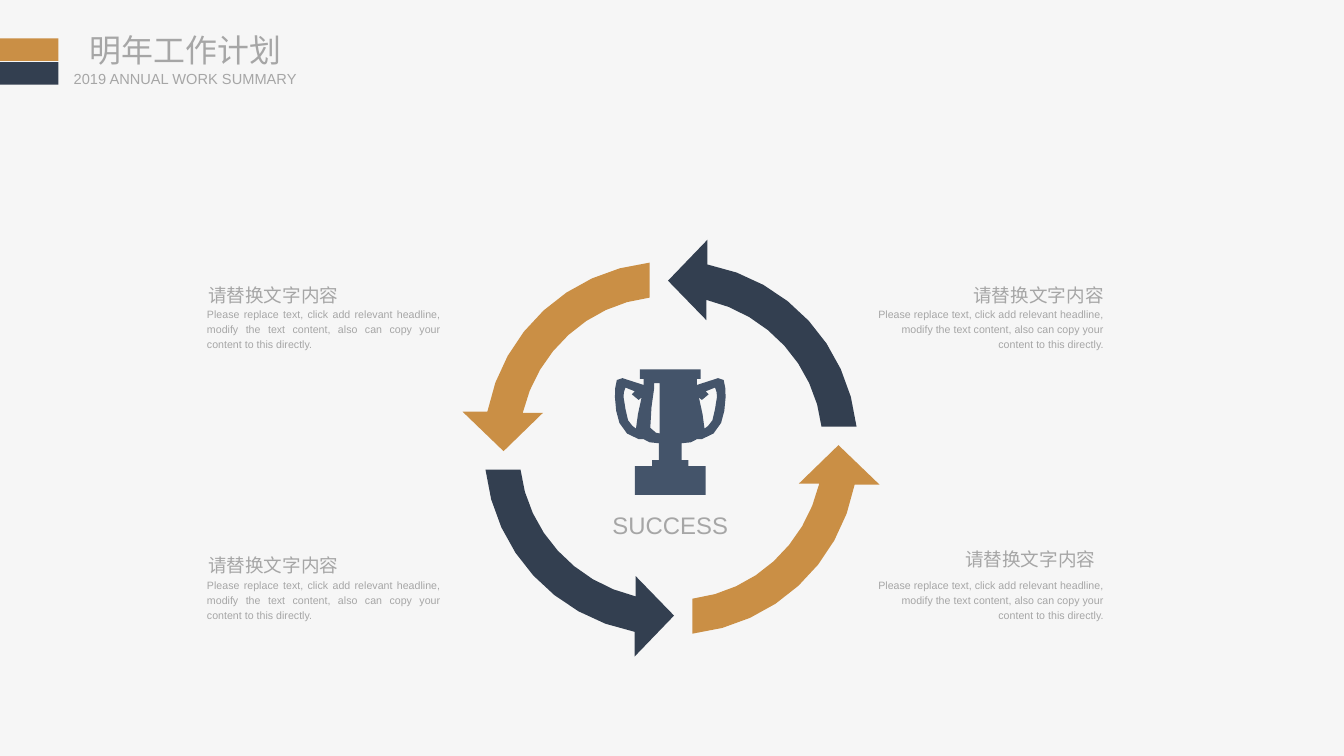
from pptx import Presentation
from pptx.dml.color import RGBColor
from pptx.enum.shapes import MSO_SHAPE as Shape
from pptx.enum.text import MSO_ANCHOR as Anchor, MSO_AUTO_SIZE as AutoSize, PP_ALIGN as Align
from pptx.util import Cm, Pt

COLORS = {"background": "F6F6F6", "navy": "333F50", "gold": "CA8F45", "trophy": "44546A", "text": "A6A6A6"}
HEADING = "请替换文字内容"
BODY = (
    "Please replace text, click add relevant headline, modify the text content, "
    "also can copy your content to this directly."
)

ARROW = [
    (0.97, -4.88), (3.10, -4.47, 4.69, -2.74, 4.93, -0.57), (4.00, -0.57),
    (3.81, -2.20, 2.57, -3.56, 0.94, -3.94), (0.94, -3.40), (-0.08, -4.45), (0.97, -5.54),
]
CUP_HALF = [
    (0.81, 0), (0.81, 0.25), (0.71, 0.25), (0.71, 0.41), (1.27, 0.23), (1.42, 0.28),
    (1.47, 0.41, 1.47, 0.58, 1.47, 0.74), (1.47, 0.97, 1.42, 1.24, 1.35, 1.42),
    (1.24, 1.65, 1.09, 1.80, 0.84, 1.85), (0.71, 1.85),
    (0.64, 1.93, 0.48, 1.96, 0.30, 1.96), (0.30, 2.41), (0.48, 2.41),
    (0.48, 2.57), (0.94, 2.57), (0.94, 3.33),
]
CUP_HANDLE = [
    (0.91, 1.57), (0.94, 1.35, 0.79, 1.04, 0.76, 0.74), (0.84, 0.81), (1.02, 0.66),
    (0.94, 0.58), (1.19, 0.48), (1.24, 0.56, 1.24, 0.66, 1.24, 0.74),
    (1.19, 0.97, 1.19, 1.17, 1.12, 1.35), (1.04, 1.47, 0.97, 1.55, 0.91, 1.57),
]
CUP_SHINE = [
    (-0.28, 0.36), (-0.28, 1.70), (-0.28, 1.70, -0.46, 1.70, -0.53, 1.55),
    (-0.58, 1.40, -0.43, 0.58, -0.43, 0.51), (-0.43, 0.36),
]


def trace(steps, samples):
    """Turn points and Bezier steps into a list of points."""
    points = [steps[0]]
    for step in steps[1:]:
        if len(step) == 2:
            points.append(step)
            continue
        corners = [points[-1], step[:2], step[2:4], step[4:]]
        for index in range(1, samples + 1):
            t = index / samples
            weights = ((1 - t) ** 3, 3 * t * (1 - t) ** 2, 3 * t * t * (1 - t), t ** 3)
            points.append(tuple(sum(w * c[axis] for w, c in zip(weights, corners)) for axis in (0, 1)))
    return points


def mirror(points):
    """Reflect points across the vertical axis, in reverse order."""
    return [(-x, y) for x, y in reversed(points)]


def paint(shape, color):
    """Give a shape a flat fill with no line or shadow."""
    shape.shadow.inherit = False
    shape.fill.solid()
    shape.fill.fore_color.rgb = RGBColor.from_string(COLORS[color])
    shape.line.fill.background()


def add_outline(slide, left, top, contours, color):
    """Draw closed contours relative to a point."""
    placed = [[(Cm(left + x), Cm(top + y)) for x, y in contour] for contour in contours]
    builder = slide.shapes.build_freeform(*placed[0][0])
    for index, contour in enumerate(placed):
        if index:
            builder.move_to(*contour[0])
        builder.add_line_segments(contour[1:], close=True)
    paint(builder.convert_to_shape(), color)


def write(shape, text, size, align=Align.LEFT, spacing=1.0):
    """Write one formatted paragraph into a shape."""
    frame = shape.text_frame
    frame.word_wrap = True
    frame.auto_size = AutoSize.NONE
    paragraph = frame.paragraphs[0]
    paragraph.text = text
    paragraph.alignment = align
    paragraph.line_spacing = spacing
    paragraph.font.name = "Arial"
    paragraph.font.size = Pt(size)
    paragraph.font.color.rgb = RGBColor.from_string(COLORS["text"])


def add_text(slide, left, top, width, height, text, size, align=Align.LEFT, spacing=1.2):
    """Add a text box."""
    box = slide.shapes.add_textbox(Cm(left), Cm(top), Cm(width), Cm(height))
    write(box, text, size, align, spacing)
    return box


def add_header(slide, left, top):
    """Place the two color bars, the title and the subtitle."""
    for row, color in enumerate(("gold", "navy")):
        bar = slide.shapes.add_shape(Shape.RECTANGLE, Cm(left), Cm(top + row * 0.63), Cm(1.55), Cm(0.6))
        paint(bar, color)
    title = slide.shapes.title
    title.left, title.top = Cm(left + 2.39), Cm(top - 0.21)
    title.width, title.height = Cm(10.95), Cm(1.02)
    write(title, "明年工作计划", 24)
    subtitle = add_text(slide, left + 1.96, top + 0.83, 7.77, 0.48, "2019 ANNUAL WORK SUMMARY", 11, spacing=1.0)
    for shape in (title, subtitle):
        frame = shape.text_frame
        frame.vertical_anchor = Anchor.MIDDLE
        frame.margin_left = frame.margin_top = frame.margin_right = frame.margin_bottom = 0


def add_cycle(slide, center_x, center_y):
    """Place four arrows around the center, each a quarter turn on."""
    points = trace(ARROW, 8)
    for color in ("navy", "gold", "navy", "gold"):
        add_outline(slide, center_x, center_y, [points], color)
        points = [(y, -x) for x, y in points]


def add_trophy(slide, center_x, top):
    """Place the trophy and its caption."""
    half, handle, shine = (trace(steps, 2) for steps in (CUP_HALF, CUP_HANDLE, CUP_SHINE))
    contours = [half + mirror(half), handle, mirror(handle), shine]
    add_outline(slide, center_x, top, contours, "trophy")
    add_text(slide, center_x - 1.8, top + 3.48, 3.6, 1.09, "SUCCESS", 18, Align.CENTER)


def add_callout(slide, left, top, width, align, heading_align, rise, shift):
    """Place a description with its heading above it."""
    add_text(slide, left + shift, top - rise, width, 0.91, HEADING, 14, heading_align)
    add_text(slide, left, top, width, 1.45, BODY, 8, align)


def main():
    """Build the work plan slide."""
    presentation = Presentation()
    presentation.slide_width, presentation.slide_height = Cm(35.71), Cm(20.09)
    slide = presentation.slides.add_slide(presentation.slide_layouts[5])
    slide.background.fill.solid()
    slide.background.fill.fore_color.rgb = RGBColor.from_string(COLORS["background"])
    add_header(slide, 0, 1.02)
    add_cycle(slide, 17.83, 11.91)
    add_trophy(slide, 17.81, 9.82)
    for top, left_rise, right_rise, right_shift in ((7.98, 0.68, 0.68, 0), (15.19, 0.71, 0.86, -0.22)):
        add_callout(slide, 5.25, top, 6.71, Align.JUSTIFY, Align.LEFT, left_rise, 0.03)
        add_callout(slide, 23.05, top, 6.53, Align.RIGHT, Align.RIGHT, right_rise, right_shift)
    presentation.save("out.pptx")


if __name__ == "__main__":
    main()
